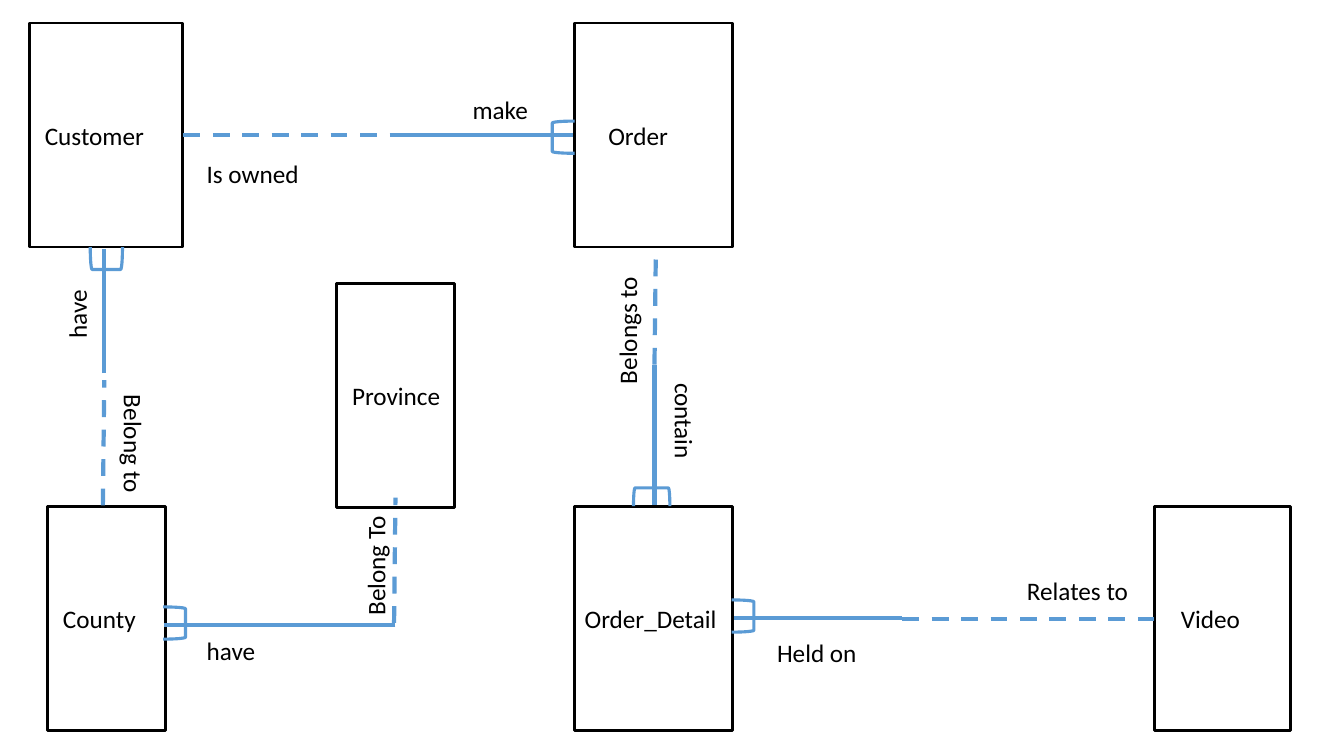
from lxml import etree
from pptx import Presentation
from pptx.dml.color import RGBColor
from pptx.enum.dml import MSO_LINE
from pptx.enum.shapes import MSO_CONNECTOR, MSO_SHAPE
from pptx.enum.text import MSO_ANCHOR, PP_ALIGN
from pptx.oxml.ns import qn
from pptx.util import Pt

RECTANGLE, BRACKET = MSO_SHAPE.RECTANGLE, MSO_SHAPE.LEFT_BRACKET
STRAIGHT, DASH = MSO_CONNECTOR.STRAIGHT, MSO_LINE.DASH
MIDDLE, LEFT = MSO_ANCHOR.MIDDLE, PP_ALIGN.LEFT
BLACK = RGBColor(0x00, 0x00, 0x00)
BLUE = RGBColor(0x5B, 0x9B, 0xD5)
ENTITY_HEIGHT, LABEL_HEIGHT = 160, 29
FONT = {"name": "Calibri", "size": Pt(18)}


def write(box, text):
    para = box.text_frame.paragraphs[0]
    para.alignment = LEFT
    span = para.add_run()
    span.text = text
    for name, value in FONT.items():
        setattr(span.font, name, value)
    span.font.color.rgb = BLACK


def outline(shape, color, width):
    shape.shadow.inherit = False
    shape.fill.background()
    shape.line.color.rgb = color
    shape.line.width = Pt(width)


deck = Presentation()
deck.slide_width, deck.slide_height = Pt(960), Pt(540)
page = deck.slides.add_slide(deck.slide_layouts[6])

# Entities: name, left, top, width, text indent
entities = [
    ("Customer", 21, 16.5, 109.5, 11),
    ("Order", 410.5, 16.5, 112.5, 24),
    ("Province", 240.5, 202.5, 84, 11),
    ("County", 34, 362, 84, 11),
    ("Order_Detail", 410.5, 362, 112.5, 7.2),
    ("Video", 824.5, 362, 97.5, 19),
]
for name, left, top, width, indent in entities:
    box = page.shapes.add_shape(
        RECTANGLE, Pt(left), Pt(top), Pt(width), Pt(ENTITY_HEIGHT))
    outline(box, BLACK, 2)
    frame = box.text_frame
    frame.word_wrap = True
    frame.vertical_anchor = MIDDLE
    frame.margin_left, frame.margin_right = Pt(indent), Pt(0)
    write(box, name)

# Relationship halves: x1, y1, x2, y2, optional (dashed) or mandatory (solid)
relations = [
    (131, 96.5, 288, 96.5, True),         # Customer - Order
    (288, 96.5, 409, 96.5, False),
    (467.5, 260.5, 468.5, 178.5, True),   # Order - Order_Detail
    (467.5, 260.5, 467.5, 361, False),
    (644.5, 442, 824.5, 442, True),       # Order_Detail - Video
    (644.5, 441.5, 524, 441.5, False),
    (73.5, 361, 74.5, 271.5, True),       # County - Customer
    (74.5, 266.5, 74.5, 178, False),
    (281.5, 445, 282.5, 355.5, True),     # Province - County
    (282.5, 446.5, 117.5, 446.5, False),
]
for x1, y1, x2, y2, optional in relations:
    link = page.shapes.add_connector(STRAIGHT, Pt(x1), Pt(y1), Pt(x2), Pt(y2))
    link.line.color.rgb = BLUE
    link.line.width = Pt(3)
    if optional:
        link.line.dash_style = DASH
    etree.SubElement(link._element.spPr, qn("a:effectLst"))

# Brackets on the "many" ends: centre x, centre y, width, height, rotation
brackets = [
    (402.5, 98, 16, 23, 0),
    (465.5, 355, 13, 26, 90),
    (530.5, 440, 16, 23, 180),
    (76, 184.5, 16, 23, 270),
    (124.5, 445, 16, 23, 180),
]
for x, y, width, height, rotation in brackets:
    bracket = page.shapes.add_shape(
        BRACKET, Pt(x - width / 2), Pt(y - height / 2), Pt(width), Pt(height))
    bracket.rotation = rotation
    outline(bracket, BLUE, 2.25)

# Relationship labels: text, left, top, width, rotation
labels = [
    ("make", 330.5, 64, 57.5, 0),
    ("Is owned", 140.5, 109.5, 97, 0),
    ("Belongs to", 396.5, 215.5, 103, 270),
    ("contain", 451.5, 289.5, 75, 90),
    ("Relates to", 726.5, 407.5, 91.5, 0),
    ("Held on", 548, 451.5, 97, 0),
    ("have", 28, 207.5, 54, 270),
    ("Belong to", 44, 312, 103, 90),
    ("Belong To", 222.5, 386.5, 91.5, 270),
    ("have", 140.5, 450.5, 54, 0),
]
for text, left, top, width, rotation in labels:
    label = page.shapes.add_textbox(
        Pt(left), Pt(top), Pt(width), Pt(LABEL_HEIGHT))
    label.rotation = rotation
    label.text_frame.word_wrap = True
    write(label, text)

deck.save("out.pptx")
